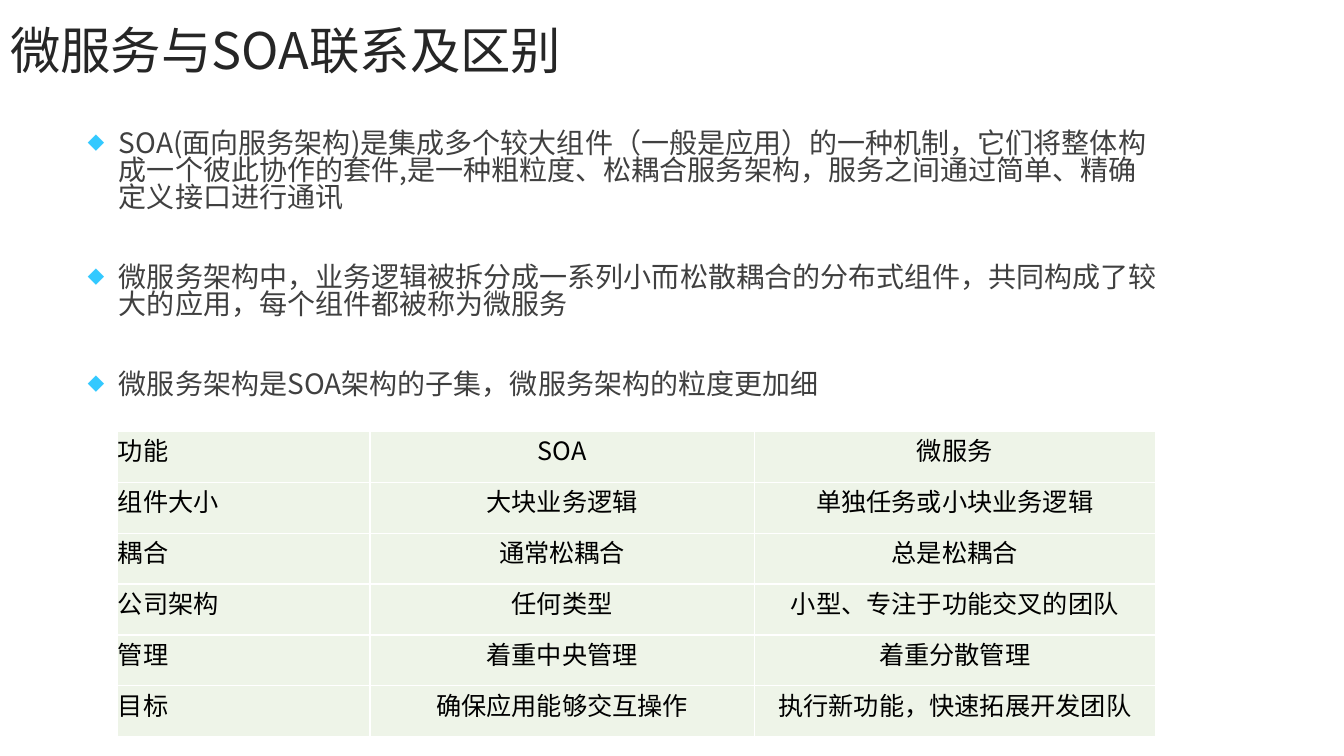
from pptx import Presentation, util as u
from pptx.dml.color import RGBColor
from pptx.enum import text
from pptx.oxml import parse_xml
from pptx.oxml.ns import nsdecls, qn

FONT = "Noto Sans CJK SC"
PX = 9144


def px(n):
    return u.Emu(n * PX)


def hue(code):
    return RGBColor.from_string(code)


def node(tag, attrs="", inner=""):
    return parse_xml(f'<a:{tag} {nsdecls("a")} {attrs}>{inner}</a:{tag}>')


def solid(code):
    return f'<a:solidFill><a:srgbClr val="{code}"/></a:solidFill>'


class Deck:
    def __init__(self, width, height):
        self.prs = Presentation()
        self.prs.slide_width, self.prs.slide_height = px(width), px(height)
        self.slide = self.prs.slides.add_slide(self.prs.slide_layouts[1])

    def style(self, para, size, color, align=text.PP_ALIGN.LEFT):
        para.alignment = align
        font = para.font
        font.name, font.size = FONT, u.Pt(size)
        font.color.rgb = hue(color)
        base = para._p.pPr.find(qn("a:defRPr"))
        base.find(qn("a:latin")).addnext(node("ea", f'typeface="{FONT}"'))
        return base

    def place(self, shape, box, anchor):
        shape.left, shape.top, shape.width, shape.height = map(px, box)
        frame = shape.text_frame
        frame.word_wrap = True
        frame.auto_size = text.MSO_AUTO_SIZE.NONE
        frame.vertical_anchor = anchor
        return frame

    def title(self, words, box):
        frame = self.place(self.slide.shapes.title, box, text.MSO_ANCHOR.MIDDLE)
        frame.text = words
        self.style(frame.paragraphs[0], 36, "262626")

    def points(self, items, box):
        frame = self.place(self.slide.placeholders[1], box, text.MSO_ANCHOR.TOP)
        frame.text = "\n".join(items)
        for i, para in enumerate(frame.paragraphs):
            para.line_spacing = 0.8
            para.space_before = u.Pt(38 if i else 0)
            base = self.style(para, 20, "404040")
            para._p.pPr.set("marL", str(px(38)))
            para._p.pPr.set("indent", str(px(-31)))
            base.addprevious(node("buClr", "", '<a:srgbClr val="33C9FF"/>'))
            base.addprevious(node("buSzPct", 'val="60000"'))
            base.addprevious(node("buFont", f'typeface="{FONT}"'))
            base.addprevious(node("buChar", 'char="◆"'))

    def table(self, rows, widths, box):
        shape = self.slide.shapes.add_table(len(rows), len(widths), *map(px, box))
        grid = shape.table
        grid.first_row = grid.horz_banding = False
        for col, width in zip(grid.columns, widths):
            col.width = px(width)
        for r, row in enumerate(rows):
            for c, words in enumerate(row):
                self.cell(grid.cell(r, c), words, c > 0)

    def cell(self, cell, words, mid):
        cell.text = words
        cell.margin_left = cell.margin_right = px(1)
        cell.margin_top = cell.margin_bottom = 0
        cell.vertical_anchor = text.MSO_ANCHOR.TOP
        cell.fill.solid()
        cell.fill.fore_color.rgb = hue("EEF4E8")
        align = text.PP_ALIGN.CENTER if mid else text.PP_ALIGN.LEFT
        self.style(cell.text_frame.paragraphs[0], 18, "000000", align)
        props = cell._tc.get_or_add_tcPr()
        for i, side in enumerate("LRTB"):
            props.insert(i, node(f"ln{side}", 'w="12700"', solid("FFFFFF")))


def main():
    deck = Deck(1333, 750)
    deck.title("微服务与SOA联系及区别", (0, 14, 940, 70))
    deck.points([
        "SOA(面向服务架构)是集成多个较大组件（一般是应用）的一种机制，它们将整体构成一个彼此协作的套件,"
        "是一种粗粒度、松耦合服务架构，服务之间通过简单、精确定义接口进行通讯",
        "微服务架构中，业务逻辑被拆分成一系列小而松散耦合的分布式组件，共同构成了较大的应用，每个组件都被称为微服务",
        "微服务架构是SOA架构的子集，微服务架构的粒度更加细",
    ], (70, 126, 1090, 289))
    deck.table([
        ("功能", "SOA", "微服务"),
        ("组件大小", "大块业务逻辑", "单独任务或小块业务逻辑"),
        ("耦合", "通常松耦合", "总是松耦合"),
        ("公司架构", "任何类型", "小型、专注于功能交叉的团队"),
        ("管理", "着重中央管理", "着重分散管理"),
        ("目标", "确保应用能够交互操作", "执行新功能，快速拓展开发团队"),
    ], (251, 381, 398), (116, 428, 1030, 303))
    deck.prs.save("out.pptx")


if __name__ == "__main__":
    main()
